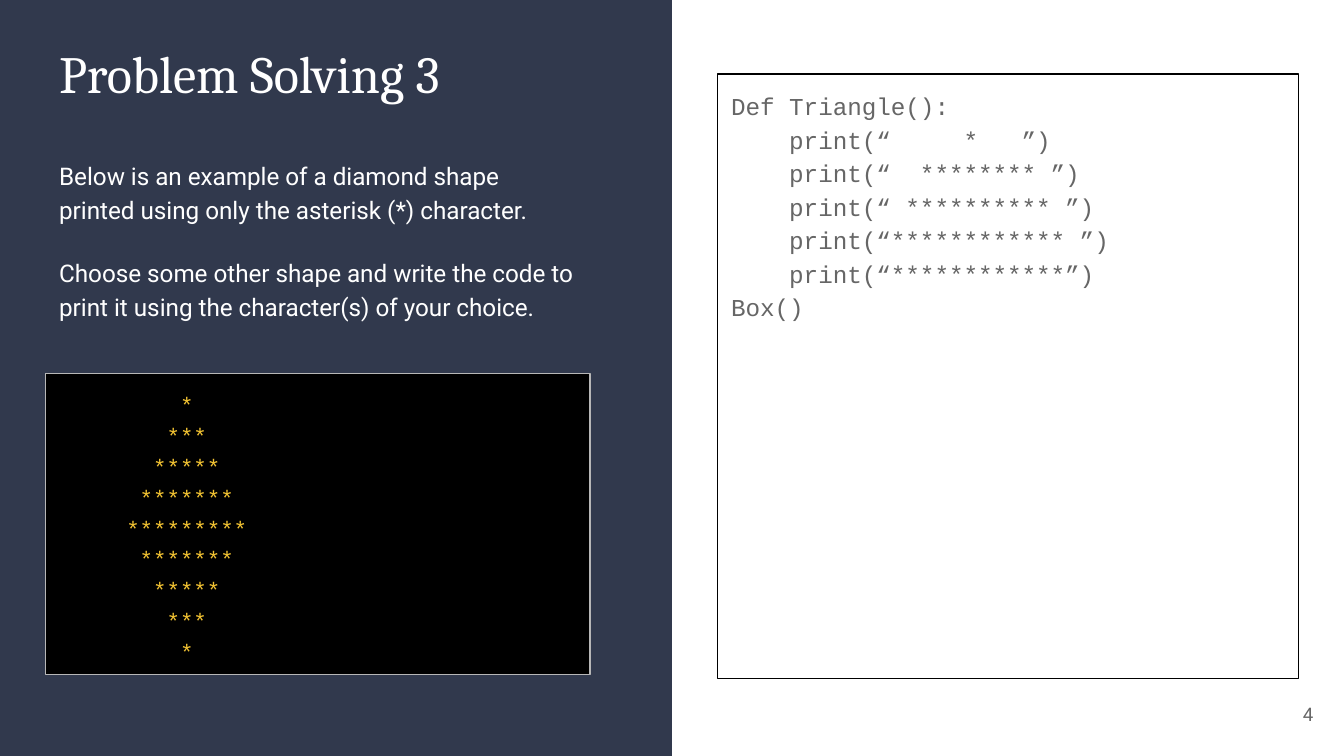
"""Build the Problem Solving 3 slide with a diamond example and a code answer."""
from dataclasses import dataclass
from typing import Optional

from lxml import etree
from pptx import Presentation
from pptx.dml.color import RGBColor
from pptx.enum.shapes import MSO_SHAPE
from pptx.enum.text import MSO_ANCHOR, MSO_AUTO_SIZE, PP_ALIGN
from pptx.oxml.ns import qn
from pptx.util import Inches, Pt

RECTANGLE = MSO_SHAPE.RECTANGLE
TOP, MIDDLE = MSO_ANCHOR.TOP, MSO_ANCHOR.MIDDLE
LEFT, RIGHT = PP_ALIGN.LEFT, PP_ALIGN.RIGHT
NO_AUTOFIT = MSO_AUTO_SIZE.NONE

NAVY = RGBColor(0x31, 0x39, 0x4D)
WHITE = RGBColor(0xFF, 0xFF, 0xFF)
BLACK = RGBColor(0x00, 0x00, 0x00)
GRAY = RGBColor(0x66, 0x66, 0x66)
SILVER = RGBColor(0xB7, 0xB7, 0xB7)
GOLD = RGBColor(0xF1, 0xC2, 0x32)

SLIDE_WIDTH = Inches(10)
SLIDE_HEIGHT = SLIDE_WIDTH * 9 // 16
COMPARISON_LAYOUT = 4
LEFT_EDGE, LEFT_WIDTH = 0.34, 4.05
DIAMOND_HALF = 4
DIAMOND_CENTER = 9


@dataclass(frozen=True)
class TextBlock:
    box: tuple[float, float, float, float]
    lines: list[str]
    font: str
    size: int
    color: RGBColor
    line_spacing: float = 1.15
    gap: int = 0
    fill: Optional[RGBColor] = None
    outline: Optional[RGBColor] = None
    alignment: PP_ALIGN = LEFT
    anchor: MSO_ANCHOR = TOP


def diamond_lines() -> list[str]:
    """Return the rows of the asterisk diamond."""
    rows = []
    for offset in range(-DIAMOND_HALF, DIAMOND_HALF + 1):
        reach = DIAMOND_HALF - abs(offset)
        rows.append(" " * (DIAMOND_CENTER - reach) + "*" * (2 * reach + 1))
    return rows


def code_lines() -> list[str]:
    """Return the lines of the code answer."""
    rows = ["     *   ", "  ******** ", " ********** ", "************ ", "************"]
    return ["Def Triangle():", *(f"    print(“{row}”)" for row in rows), "Box()"]


def remove_bullet(paragraph) -> None:
    """Clear the inherited bullet and indent of a paragraph."""
    properties = paragraph._p.get_or_add_pPr()
    properties.set("marL", "0")
    properties.set("indent", "0")
    etree.SubElement(properties, qn("a:buNone"))


def draw_text(shape, block: TextBlock) -> None:
    """Place a shape and fill it with the formatted lines of a block."""
    shape.left, shape.top, shape.width, shape.height = map(Inches, block.box)
    if block.fill is not None:
        shape.fill.solid()
        shape.fill.fore_color.rgb = block.fill
    if block.outline is not None:
        shape.line.color.rgb = block.outline
        shape.line.width = Pt(0.75)
    frame = shape.text_frame
    frame.word_wrap = True
    frame.auto_size = NO_AUTOFIT
    frame.vertical_anchor = block.anchor
    frame.margin_left = frame.margin_right = Inches(0.1)
    frame.margin_top = frame.margin_bottom = Inches(0.1)
    for index, line in enumerate(block.lines):
        paragraph = frame.add_paragraph() if index else frame.paragraphs[0]
        paragraph.alignment = block.alignment
        paragraph.line_spacing = block.line_spacing
        paragraph.space_before = Pt(block.gap if index else 0)
        paragraph.space_after = Pt(block.gap if index else 0)
        remove_bullet(paragraph)
        run = paragraph.add_run()
        run.text = line
        run.font.name = block.font
        run.font.size = Pt(block.size)
        run.font.bold = False
        run.font.color.rgb = block.color


def draw_panel(slide) -> None:
    """Draw the dark left half behind everything else."""
    panel = slide.shapes.add_shape(RECTANGLE, 0, 0, SLIDE_WIDTH // 2, SLIDE_HEIGHT)
    panel.shadow.inherit = False
    panel.fill.solid()
    panel.fill.fore_color.rgb = NAVY
    panel.line.fill.background()
    slide.shapes._spTree.insert(2, panel._element)


def main() -> None:
    """Build and save the presentation."""
    presentation = Presentation()
    presentation.slide_width, presentation.slide_height = SLIDE_WIDTH, SLIDE_HEIGHT
    slide = presentation.slides.add_slide(presentation.slide_layouts[COMPARISON_LAYOUT])
    draw_panel(slide)

    title = TextBlock((LEFT_EDGE, 0.21, LEFT_WIDTH, 2.24), ["Problem Solving 3"],
                      "Cambria", 28, WHITE, line_spacing=1.0)
    instructions = TextBlock(
        (LEFT_EDGE, 1.07, LEFT_WIDTH, 1.42),
        ["Below is an example of a diamond shape printed using only the asterisk (*) character.",
         "Choose some other shape and write the code to print it using the character(s) "
         "of your choice."],
        "Roboto", 13, WHITE, gap=16)
    diamond = TextBlock((LEFT_EDGE, 2.78, LEFT_WIDTH, 2.24), diamond_lines(),
                        "Courier New", 12, GOLD, fill=BLACK, outline=SILVER)
    code = TextBlock((5.34, 0.55, 4.32, 4.5), code_lines(),
                     "Courier New", 13, GRAY, outline=BLACK)
    page_number = TextBlock((9.27, 5.1, 0.6, 0.43), ["4"], "Roboto", 10, GRAY,
                            line_spacing=1.0, alignment=RIGHT, anchor=MIDDLE)

    placeholders = list(slide.placeholders)
    for shape, block in zip(placeholders, [title, instructions, diamond, code]):
        draw_text(shape, block)
    unused = placeholders[-1]._element
    unused.getparent().remove(unused)
    draw_text(slide.shapes.add_textbox(0, 0, 0, 0), page_number)
    presentation.save("out.pptx")


if __name__ == "__main__":
    main()
